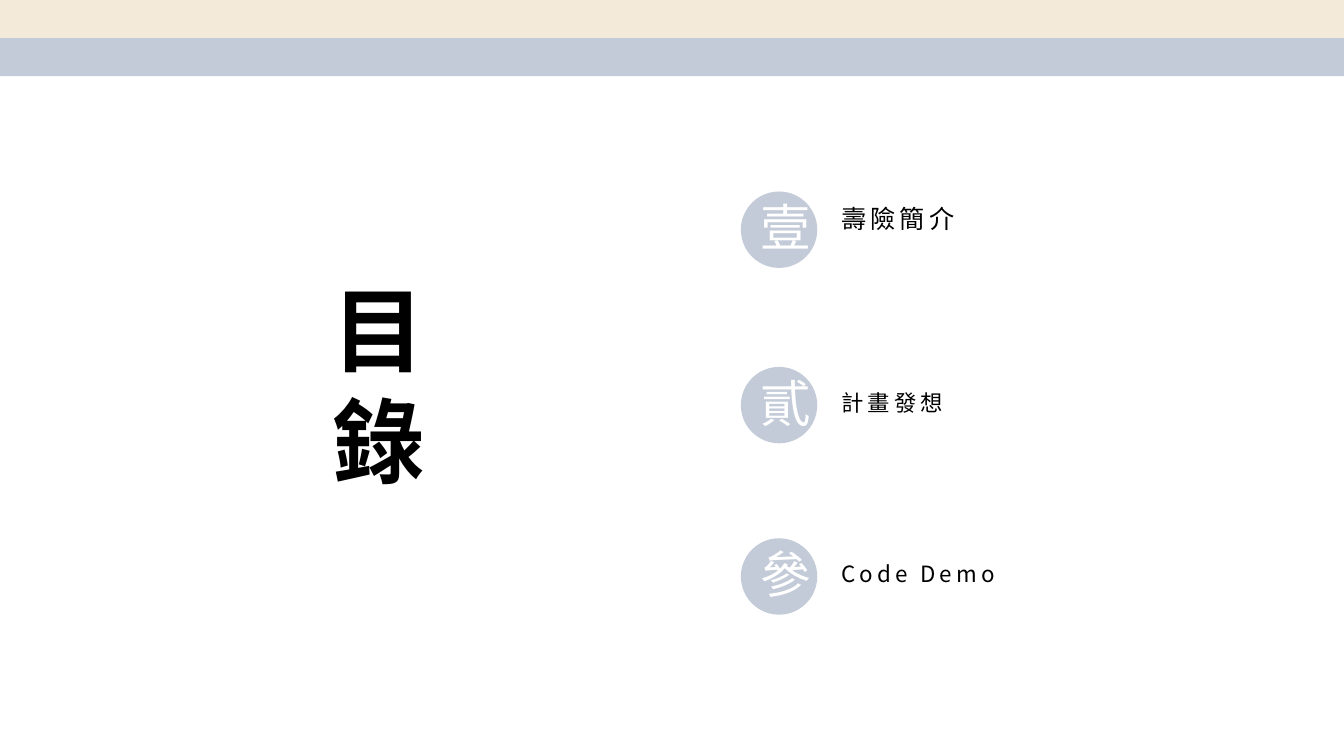
"""Build a contents slide with three numbered chapters."""
from pptx import Presentation
from pptx.dml.color import RGBColor as Rgb
from pptx.enum.shapes import MSO_SHAPE as Kind
from pptx.enum.text import MSO_AUTO_SIZE as Fit, PP_ALIGN as Align
from pptx.oxml.ns import qn
from pptx.util import Pt
from lxml.etree import SubElement

TITLE = "目錄"
ITEMS = [
    ("壹", 136.8, "壽險簡介", 141.8, 18),
    ("貳", 262.1, "計畫發想", 274.3, 16),
    ("參", 384.5, "Code Demo", 396.7, 16),
]
THEME = {
    "font": "Noto Sans CJK TC", "ink": "000000", "white": "FFFFFF",
    "cream": "F3EAD9", "blue": "C3CBD8",
    "title": 66, "mark": 36, "track": 290,
}
WIDE, HIGH = 960, 540
BAND = 27.2
DISC = 54.6
DISC_X, MARK_X, TEXT_X = 529.2, 536.4, 594


def paint(slide, kind, box, tone):
    shape = slide.shapes.add_shape(kind, *map(Pt, box))
    shape.shadow.inherit = False
    shape.fill.solid()
    shape.fill.fore_color.rgb = Rgb.from_string(THEME[tone])
    shape.line.fill.background()


def write(slide, box, text, size, tone="ink", align=Align.CENTER, bold=False, track=0):
    frame = slide.shapes.add_textbox(*map(Pt, box)).text_frame
    for name, value in {"word_wrap": True, "auto_size": Fit.SHAPE_TO_FIT_TEXT}.items():
        setattr(frame, name, value)
    para = frame.paragraphs[0]
    para.alignment = align
    run = para.add_run()
    run.text = text
    font = run.font
    for name, value in {"name": THEME["font"], "size": Pt(size), "bold": bold}.items():
        setattr(font, name, value)
    font.color.rgb = Rgb.from_string(THEME[tone])
    props = run._r.get_or_add_rPr()
    SubElement(props, qn("a:ea")).set("typeface", THEME["font"])
    if track:
        props.set("spc", str(track))


def main():
    deck = Presentation()
    deck.slide_width, deck.slide_height = Pt(WIDE), Pt(HIGH)
    slide = deck.slides.add_slide(deck.slide_layouts[6])
    for row, tone in enumerate(("cream", "blue")):
        paint(slide, Kind.RECTANGLE, (0, row * BAND, WIDE, BAND), tone)
    write(slide, (230.4, 191.5, 65.5, 165.6), TITLE, THEME["title"], bold=True)
    track = THEME["track"]
    for mark, top, label, text_y, size in ITEMS:
        paint(slide, Kind.OVAL, (DISC_X, top, DISC, DISC), "blue")
        write(slide, (MARK_X, top, 41, 50.4), mark, THEME["mark"], "white", track=track)
        write(slide, (TEXT_X, text_y, 173, size * 1.6), label, size,
              align=Align.LEFT, track=track)
    deck.save("out.pptx")


if __name__ == "__main__":
    main()
